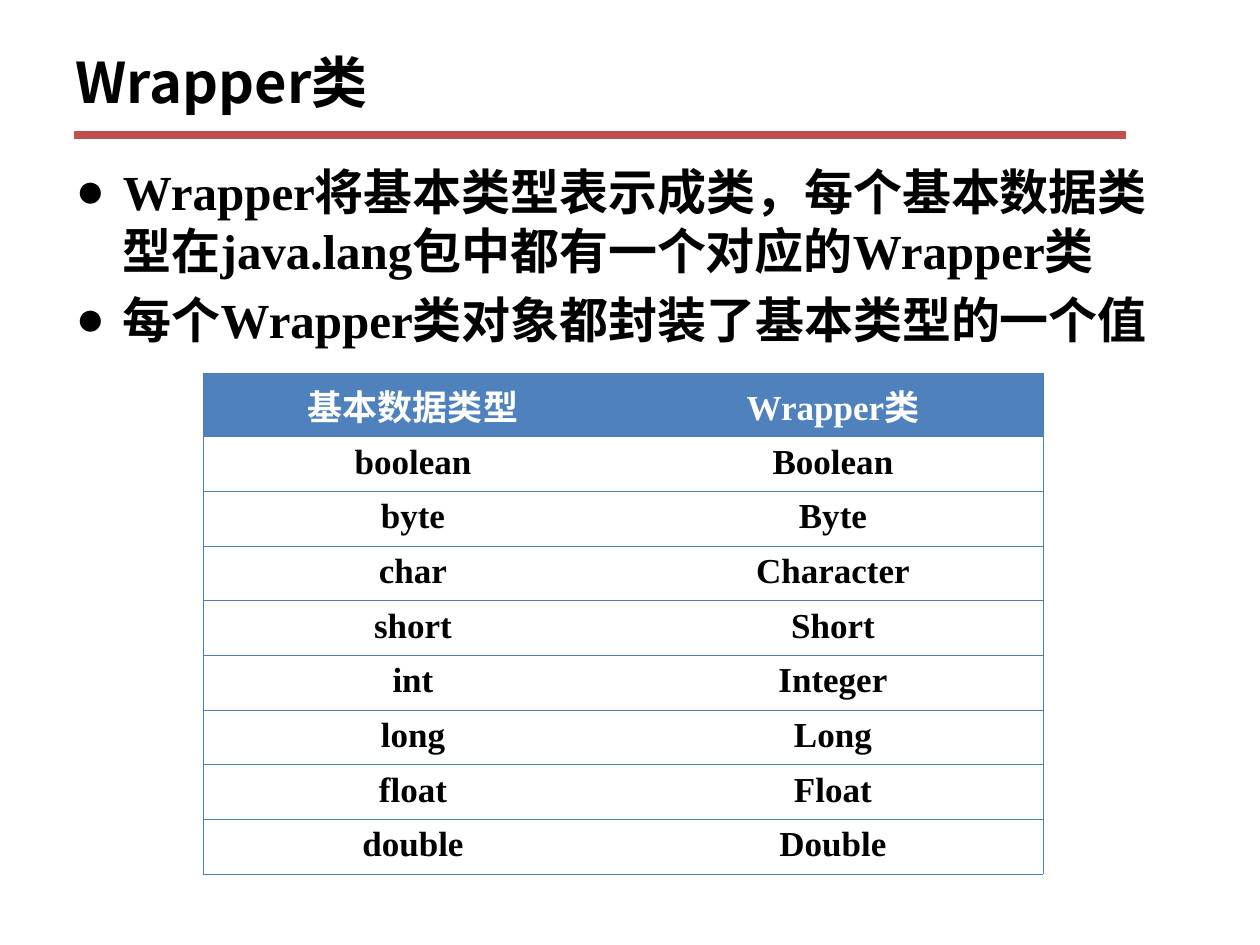
from lxml.etree import SubElement
from pptx import Presentation
from pptx.dml.color import RGBColor
from pptx.enum.shapes import MSO_CONNECTOR
from pptx.enum.text import MSO_ANCHOR, MSO_AUTO_SIZE, PP_ALIGN
from pptx.oxml.ns import qn
from pptx.util import Pt

# Content
TITLE = "Wrapper类"
BULLETS = [
    "Wrapper将基本类型表示成类，每个基本数据类型在java.lang包中都有一个对应的Wrapper类",
    "每个Wrapper类对象都封装了基本类型的一个值",
]
ROWS = [
    ("基本数据类型", "Wrapper类"),
    ("boolean", "Boolean"),
    ("byte", "Byte"),
    ("char", "Character"),
    ("short", "Short"),
    ("int", "Integer"),
    ("long", "Long"),
    ("float", "Float"),
    ("double", "Double"),
]

# Formats
COLORS = {"text": "000000", "white": "FFFFFF", "rule": "C0504D",
          "header": "4F81BD", "border": "4A7EBB"}
SANS, SERIF = "Noto Sans CJK SC", "Times New Roman"
TITLE_FONT = {"size": Pt(32), "bold": True, "name": SANS}
BODY_FONT = {"size": Pt(28), "bold": True, "name": SERIF}
CELL_FONT = {"size": Pt(20), "bold": True, "name": SERIF}
COL_W, ROW_H = 240, 31.25
INDENT = 27


def rgb(key):
    return RGBColor.from_string(COLORS[key])


def write(p, text, font, color="text", align=PP_ALIGN.LEFT):
    p.alignment = align
    r = p.add_run()
    r.text = text
    for name, value in font.items():
        setattr(r.font, name, value)
    r.font.color.rgb = rgb(color)
    SubElement(r.font._element, qn("a:ea"), typeface=SANS)


def place(sp, left, top, width, height):
    sp.left, sp.top, sp.width, sp.height = map(Pt, (left, top, width, height))


def add_bullet(p):
    pPr = p._p.get_or_add_pPr()
    pPr.set("marL", str(Pt(INDENT)))
    pPr.set("indent", str(-Pt(INDENT)))
    clr = SubElement(pPr, qn("a:buClr"))
    SubElement(clr, qn("a:srgbClr"), val=COLORS["text"])
    SubElement(pPr, qn("a:buFont"), typeface=SERIF)
    SubElement(pPr, qn("a:buChar"), char="●")


def set_borders(cell, visible):
    tcPr = cell._tc.get_or_add_tcPr()
    for side in "LRTB":
        ln = SubElement(tcPr, qn("a:ln" + side), w=str(Pt(0.34)))
        if side in visible:
            fill = SubElement(ln, qn("a:solidFill"))
            SubElement(fill, qn("a:srgbClr"), val=COLORS["border"])
        else:
            SubElement(ln, qn("a:noFill"))


prs = Presentation()
prs.slide_width, prs.slide_height = Pt(720), Pt(540)
s = prs.slides.add_slide(prs.slide_layouts[1])
title, body = s.placeholders

# Title
place(title, 36, 15, 648, 63)
tf = title.text_frame
tf.auto_size = MSO_AUTO_SIZE.NONE
tf.vertical_anchor = MSO_ANCHOR.MIDDLE
write(tf.paragraphs[0], TITLE, TITLE_FONT)

# Rule under the title
rule = s.shapes.add_connector(MSO_CONNECTOR.STRAIGHT, Pt(42.5), Pt(77), Pt(643.5), Pt(77))
rule.line.width = Pt(4.5)
rule.line.color.rgb = rgb("rule")
SubElement(rule._element.spPr, qn("a:effectLst"))

# Bullets
place(body, 36, 88.5, 648, 420)
tf = body.text_frame
tf.auto_size = MSO_AUTO_SIZE.NONE
for i, text in enumerate(BULLETS):
    p = tf.add_paragraph() if i else tf.paragraphs[0]
    p.space_before = Pt(6)
    write(p, text, BODY_FONT)
    add_bullet(p)

# Table of types
n_rows, n_cols = len(ROWS), len(ROWS[0])
table = s.shapes.add_table(n_rows, n_cols, Pt(116), Pt(213.25),
                           Pt(COL_W * n_cols), Pt(ROW_H * n_rows)).table
table.horz_banding = False
for col in table.columns:
    col.width = Pt(COL_W)
for i, row in enumerate(ROWS):
    table.rows[i].height = Pt(ROW_H)
    for j, text in enumerate(row):
        cell = table.cell(i, j)
        set_borders(cell, "TBR" if j else "TBL")
        if i == 0:
            cell.fill.solid()
            cell.fill.fore_color.rgb = rgb("header")
        else:
            cell.fill.background()
        write(cell.text_frame.paragraphs[0], text, CELL_FONT,
              "text" if i else "white", PP_ALIGN.CENTER)

prs.save("out.pptx")
